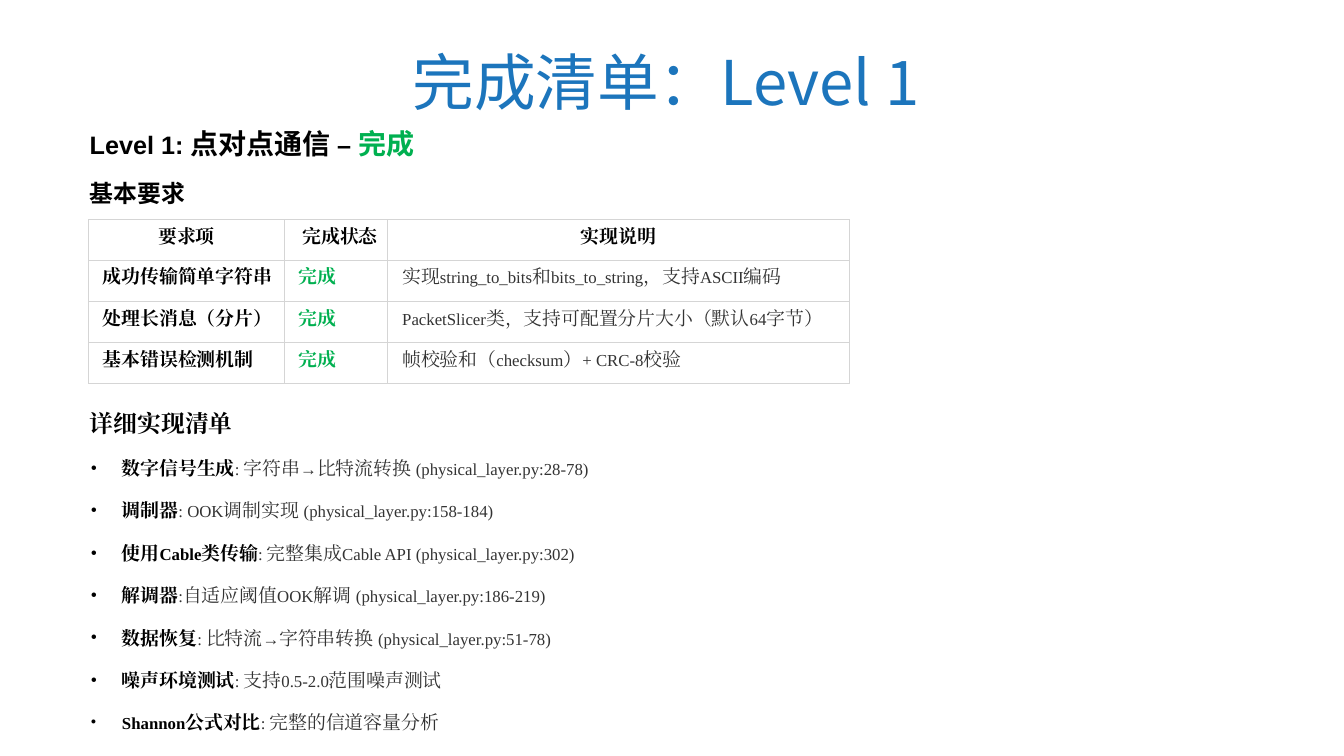
"""Build the Level 1 completion checklist slide."""
from dataclasses import dataclass

from lxml.etree import SubElement as Sub
from pptx import Presentation
from pptx.dml.color import RGBColor as Rgb
from pptx.enum.text import MSO_ANCHOR as Anchor, MSO_AUTO_SIZE as Fit, PP_ALIGN as Align
from pptx.oxml.ns import qn
from pptx.util import Inches, Pt

BLUE = Rgb(0x1C, 0x75, 0xBC)
GREEN = Rgb(0x00, 0xB0, 0x50)
BLACK = Rgb(0x00, 0x00, 0x00)
GRAY = Rgb(0x33, 0x33, 0x33)
RULE = Rgb(0xD5, 0xD5, 0xD5)
SERIF, SANS = "Times New Roman", "Arial"
KR, TC = "Noto Sans CJK KR", "Noto Sans CJK TC"


@dataclass
class Piece:
    text: str
    face: str
    size: float
    color: Rgb = BLACK


@dataclass
class Item:
    head: str
    note: str


@dataclass
class Row:
    need: str
    state: str
    note: str


LEVEL = [Piece("Level 1: ", SANS, 18), Piece("点", KR, 20), Piece("对", TC, 20),
         Piece("点", KR, 20), Piece("通信 ", TC, 20), Piece("– ", SANS, 18),
         Piece("完成", TC, 20, GREEN)]
BASIC = [Piece(char, face, 17) for char, face in zip("基本要求", (KR, TC, KR, TC))]
ROWS = [
    Row("要求项", "完成状态", "实现说明"),
    Row("成功传输简单字符串", "完成", "实现|string_to_bits|和|bits_to_string|，⽀持|ASCII|编码"),
    Row("处理⻓消息（分⽚）", "完成", "PacketSlicer|类，⽀持可配置分⽚⼤⼩（默认|64|字节）"),
    Row("基本错误检测机制", "完成", "帧校验和（|checksum|）|+ CRC-8|校验"),
]
ITEMS = [
    Item("数字信号⽣成", ": |字符串|→|⽐特流转换 |(physical_layer.py:28-78)"),
    Item("调制器", ": OOK|调制实现 |(physical_layer.py:158-184)"),
    Item("使⽤|Cable|类传输", ": |完整集成|Cable API (physical_layer.py:302)"),
    Item("解调器", ":|⾃适应阈值|OOK|解调 |(physical_layer.py:186-219)"),
    Item("数据恢复", ": |⽐特流|→|字符串转换 |(physical_layer.py:51-78)"),
    Item("噪声环境测试", ": |⽀持|0.5-2.0|范围噪声测试"),
    Item("Shannon|公式对⽐", ": |完整的信道容量分析"),
]
WIDTHS = (1.94, 1.02, 4.59)
HEIGHTS = (0.4, 0.41, 0.41, 0.4)
INDENTS = (0.14, 0.14, 0.15)


def set_face(font, name: str) -> None:
    """Use one face for Latin and East Asian text."""
    font.name = name
    Sub(font._element, qn("a:ea"), typeface=name)


def add_mixed(para, text: str, color: Rgb, bold: bool) -> None:
    """Add runs split at bars, with Latin runs set smaller."""
    for part in text.split("|"):
        run = para.add_run()
        run.text = part
        wide = any(char >= "⺀" for char in part)
        run.font.size = Pt(13.5 if wide else 12)
        run.font.color.rgb = color
        run.font.bold = bold
        set_face(run.font, SERIF)


def add_pieces(para, pieces: list[Piece]) -> None:
    """Add bold heading runs."""
    for piece in pieces:
        run = para.add_run()
        run.text = piece.text
        run.font.size = Pt(piece.size)
        run.font.color.rgb = piece.color
        run.font.bold = True
        set_face(run.font, piece.face)


def set_bullet(para, mark: str = "", left: float = 0.01, hang: float = 0) -> None:
    """Set the indent and the bullet of a paragraph."""
    props = para._p.get_or_add_pPr()
    props.set("marL", str(Inches(left)))
    props.set("indent", str(Inches(-hang)))
    if mark:
        Sub(props, qn("a:buFont"), typeface=SERIF)
        Sub(props, qn("a:buChar"), char=mark)
    else:
        Sub(props, qn("a:buNone"))


def place(shape, left: float, top: float, width: float, height: float):
    """Move a placeholder and return its text frame."""
    shape.left, shape.top = Inches(left), Inches(top)
    shape.width, shape.height = Inches(width), Inches(height)
    frame = shape.text_frame
    frame.word_wrap = True
    frame.auto_size = Fit.NONE
    frame.vertical_anchor = Anchor.TOP
    return frame


def set_pad(box, left: float, top: float) -> None:
    """Set the margins of a frame or cell."""
    box.margin_left, box.margin_top = Inches(left), Inches(top)
    box.margin_right = box.margin_bottom = 0


def add_border(cell) -> None:
    """Draw a thin line on each side of a cell."""
    props = cell._tc.get_or_add_tcPr()
    for side in ("lnL", "lnR", "lnT", "lnB"):
        line = Sub(props, qn(f"a:{side}"), w=str(Pt(0.75)))
        fill = Sub(line, qn("a:solidFill"))
        Sub(fill, qn("a:srgbClr"), val=str(RULE))


def add_grid(slide) -> None:
    """Add the table of requirements."""
    frame = slide.shapes.add_table(len(ROWS), len(WIDTHS), Inches(0.88), Inches(2.18),
                                   Inches(sum(WIDTHS)), Inches(sum(HEIGHTS)))
    grid = frame.table
    for col, width in zip(grid.columns, WIDTHS):
        col.width = Inches(width)
    for y, (row, height) in enumerate(zip(ROWS, HEIGHTS)):
        grid.rows[y].height = Inches(height)
        for x, text in enumerate((row.need, row.state, row.note)):
            cell = grid.cell(y, x)
            add_border(cell)
            cell.fill.background()
            para = cell.text_frame.paragraphs[0]
            if y == 0:
                set_pad(cell, 0.18 if x == 1 else 0, 0.07)
                para.alignment = Align.LEFT if x == 1 else Align.CENTER
                add_mixed(para, text, BLACK, True)
            else:
                set_pad(cell, INDENTS[x], 0.07)
                add_mixed(para, text, (BLACK, GREEN, GRAY)[x], x < 2)


def add_list(frame) -> None:
    """Fill the detailed checklist."""
    set_pad(frame, 0, 0.01)
    head = frame.paragraphs[0]
    head.line_spacing = 1.5
    head.space_before = Pt(0)
    set_bullet(head)
    add_pieces(head, [Piece("详细实现清单", SERIF, 17)])
    for item in ITEMS:
        para = frame.add_paragraph()
        para.line_spacing = 1.5
        para.space_before = Pt(6)
        set_bullet(para, "•", 0.33, 0.31)
        add_mixed(para, item.head, BLACK, True)
        add_mixed(para, item.note, GRAY, False)


def main() -> None:
    """Build and save the slide."""
    deck = Presentation()
    deck.slide_width, deck.slide_height = Inches(13.33), Inches(7.5)
    slide = deck.slides.add_slide(deck.slide_layouts[3])
    title, intro, tasks = list(slide.placeholders)[:3]

    para = place(title, 3.99, 0.39, 5.74, 0.84).paragraphs[0]
    para.text = "完成清单：Level 1"
    para.alignment = Align.LEFT
    para.font.size = Pt(44)
    para.font.color.rgb = BLUE
    set_face(para.font, KR)

    frame = place(intro, 0.88, 1.23, 4.9, 0.84)
    set_pad(frame, 0, 0.02)
    for pieces, gap in ((LEVEL, 0), (BASIC, 13.5)):
        para = frame.paragraphs[0] if pieces is LEVEL else frame.add_paragraph()
        para.space_before = Pt(gap)
        set_bullet(para)
        add_pieces(para, pieces)

    add_grid(slide)
    add_list(place(tasks, 0.88, 3.9, 7.2, 3.38))
    for holder in list(slide.placeholders):
        if not holder.text_frame.text:
            holder._element.getparent().remove(holder._element)
    deck.save("out.pptx")


if __name__ == "__main__":
    main()
